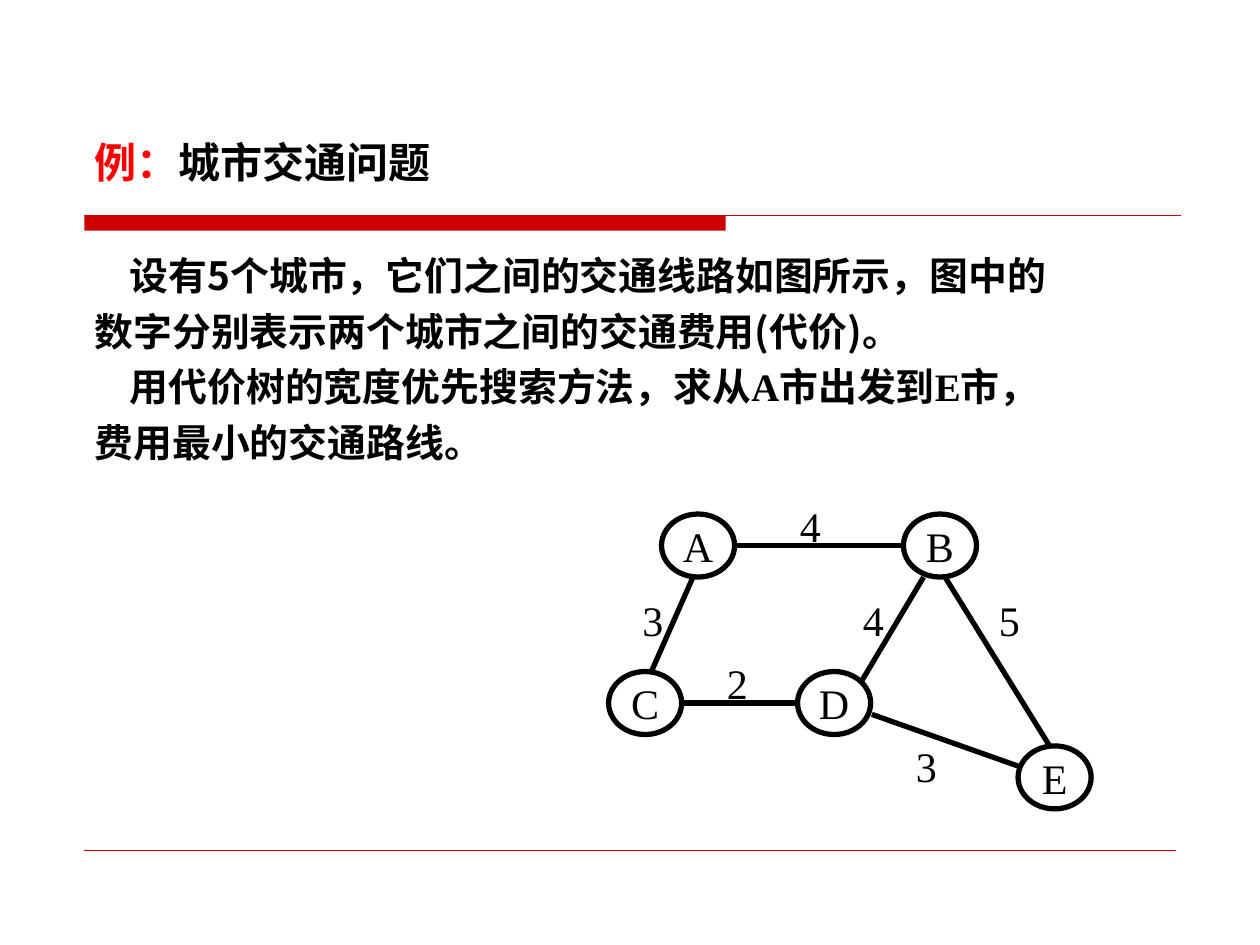
"""Build the slide on the city traffic problem with its weighted graph."""
import pptx
import pptx.dml.color
import pptx.enum.shapes
import pptx.enum.text
import pptx.oxml.ns
import pptx.util
from lxml import etree
from pptx.util import Inches

SANS = "Noto Sans CJK SC"
SERIF = "Times New Roman"
BLACK = "000000"
RED = "CC0000"


def paint(color_format, color):
    color_format.rgb = pptx.dml.color.RGBColor.from_string(color)


def write(paragraph, text, face=SERIF, size=24, color=BLACK, bold=False):
    run = paragraph.add_run()
    run.text = text
    run.font.name = face
    run.font.size = pptx.util.Pt(size)
    run.font.bold = bold
    paint(run.font.color, color)
    east_asian = etree.SubElement(run.font._element, pptx.oxml.ns.qn("a:ea"))
    east_asian.set("typeface", face)


presentation = pptx.Presentation()
presentation.slide_width = Inches(10)
presentation.slide_height = Inches(7.5)
slide = presentation.slides.add_slide(presentation.slide_layouts[6])
shapes = slide.shapes

title_bar = shapes.add_shape(
    pptx.enum.shapes.MSO_SHAPE.RECTANGLE, Inches(0.67), Inches(1.71), Inches(5.09), Inches(0.12)
)
title_bar.shadow.inherit = False
title_bar.fill.solid()
paint(title_bar.fill.fore_color, RED)
title_bar.line.fill.background()

title = shapes.add_textbox(Inches(0.75), Inches(1.08), Inches(3.25), Inches(0.4)).text_frame
problem = shapes.add_textbox(Inches(0.75), Inches(1.92), Inches(8.58), Inches(2.17)).text_frame
for frame in (title, problem):
    frame.word_wrap = True
    frame.margin_left = frame.margin_right = frame.margin_top = frame.margin_bottom = 0

write(title.paragraphs[0], "例：", SANS, color="FF0000", bold=True)
write(title.paragraphs[0], "城市交通问题", SANS, bold=True)

problem_lines = [
    (0.28, [("设有5个城市，它们之间的交通线路如图所示，图中的", SANS)]),
    (0, [("数字分别表示两个城市之间的交通费用(代价)。", SANS)]),
    (0.28, [("用代价树的宽度优先搜索方法，求从", SANS), ("A", SERIF),
            ("市出发到", SANS), ("E", SERIF), ("市，", SANS)]),
    (0, [("费用最小的交通路线。", SANS)]),
]
for number, (indent, parts) in enumerate(problem_lines):
    line = problem.add_paragraph() if number else problem.paragraphs[0]
    line.line_spacing = 1.2
    line._p.get_or_add_pPr().set("indent", str(Inches(indent)))
    for text, face in parts:
        write(line, text, face, 22.2, bold=True)

cities = {"A": (5.25, 4.08), "B": (7.17, 4.08), "C": (4.83, 5.33), "D": (6.33, 5.33), "E": (8.08, 5.92)}
for name, (left, top) in cities.items():
    city = shapes.add_shape(
        pptx.enum.shapes.MSO_SHAPE.OVAL, Inches(left), Inches(top), Inches(0.58), Inches(0.5)
    )
    city.shadow.inherit = False
    city.fill.background()
    paint(city.line.color, BLACK)
    city.line.width = pptx.util.Pt(3)
    city.text_frame.word_wrap = False
    city.text_frame.vertical_anchor = pptx.enum.text.MSO_ANCHOR.MIDDLE
    city.text_frame.paragraphs[0].alignment = pptx.enum.text.PP_ALIGN.CENTER
    write(city.text_frame.paragraphs[0], name)

strokes = [
    (0.67, 1.71, 9.37, 1.71, RED, 0.75),
    (0.67, 6.75, 9.33, 6.75, RED, 0.25),
    (5.5, 4.58, 5.17, 5.33, BLACK, 3),
    (5.83, 4.33, 7.17, 4.33, BLACK, 3),
    (5.42, 5.58, 6.33, 5.58, BLACK, 3),
    (6.83, 5.42, 7.33, 4.58, BLACK, 3),
    (6.92, 5.67, 8.08, 6.08, BLACK, 3),
    (7.5, 4.58, 8.33, 5.92, BLACK, 3),
]
for x1, y1, x2, y2, color, width in strokes:
    stroke = shapes.add_connector(
        pptx.enum.shapes.MSO_CONNECTOR.STRAIGHT, Inches(x1), Inches(y1), Inches(x2), Inches(y2)
    )
    paint(stroke.line.color, color)
    stroke.line.width = pptx.util.Pt(width)
    etree.SubElement(stroke._element.spPr, pptx.oxml.ns.qn("a:effectLst"))

costs = [("4", 6.25, 3.92), ("3", 5, 4.67), ("4", 6.75, 4.67), ("5", 7.83, 4.67), ("2", 5.67, 5.17), ("3", 7.17, 5.83)]
for cost, left, top in costs:
    label = shapes.add_textbox(Inches(left), Inches(top), Inches(0.42), Inches(0.5)).text_frame
    label.word_wrap = True
    write(label.paragraphs[0], cost)

presentation.save("out.pptx")
